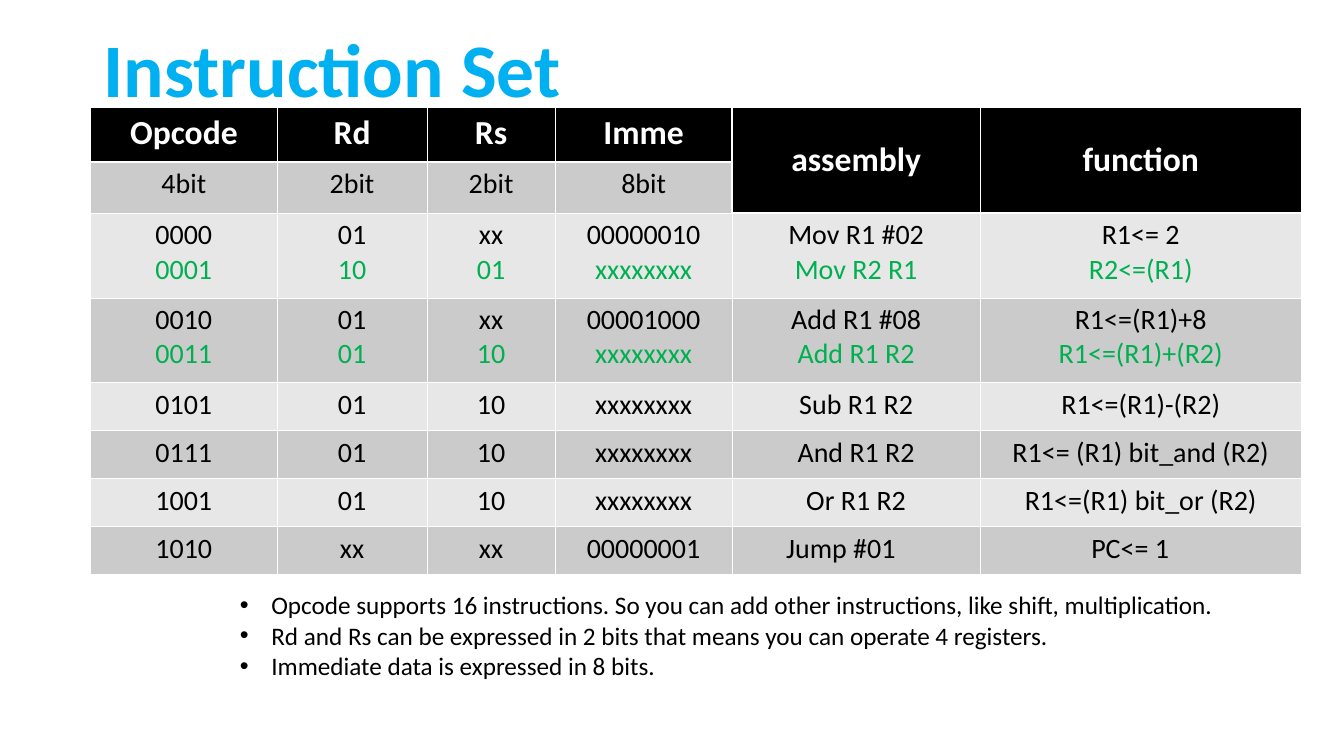
from lxml.etree import SubElement
from pptx import Presentation
from pptx.dml.color import RGBColor
from pptx.enum.text import MSO_ANCHOR, MSO_AUTO_SIZE, PP_ALIGN
from pptx.oxml.ns import qn
from pptx.util import Pt

HUES = {
    "title": "00B0F0", "black": "000000", "white": "FFFFFF",
    "green": "00B050", "dark": "CBCBCB", "light": "E7E7E7",
}
FONT = "Calibri"
THIN, THICK = 0.45, 1.47


def add_run(para, text, size, hue, bold=False):
    run = para.add_run()
    run.text = text
    font = run.font
    font.name, font.size, font.bold = FONT, Pt(size), bold
    font.color.rgb = RGBColor.from_string(HUES[hue])


def add_edge(cell, side, width):
    line = SubElement(cell._tc.get_or_add_tcPr(), qn(f"a:ln{side}"), w=str(Pt(width)))
    fill = SubElement(line, qn("a:solidFill"))
    SubElement(fill, qn("a:srgbClr"), val=HUES["white"])


deck = Presentation()
deck.slide_width, deck.slide_height = Pt(960.5), Pt(540)
slide = deck.slides.add_slide(deck.slide_layouts[1])

# Title
title = slide.shapes.title
title.left, title.top, title.width, title.height = Pt(67), Pt(0), Pt(828), Pt(104.4)
frame = title.text_frame
frame.auto_size = MSO_AUTO_SIZE.NONE
frame.vertical_anchor = MSO_ANCHOR.MIDDLE
para = frame.paragraphs[0]
para.alignment, para.line_spacing = PP_ALIGN.LEFT, 0.9
add_run(para, "Instruction Set", 54, "title", True)

# Instruction table: a second line in a cell is the register form
rows = [
    ["Opcode", "Rd", "Rs", "Imme", "assembly", "function"],
    ["4bit", "2bit", "2bit", "8bit", "", ""],
    ["0000\n0001", "01\n10", "xx\n01", "00000010\nxxxxxxxx",
     "Mov R1 #02\nMov R2 R1", "R1<= 2\nR2<=(R1)"],
    ["0010\n0011", "01\n01", "xx\n10", "00001000\nxxxxxxxx",
     "Add R1 #08\nAdd R1 R2", "R1<=(R1)+8\nR1<=(R1)+(R2)"],
    ["0101", "01", "10", "xxxxxxxx", "Sub R1 R2", "R1<=(R1)-(R2)"],
    ["0111", "01", "10", "xxxxxxxx", "And R1 R2", "R1<= (R1) bit_and (R2)"],
    ["1001", "01", "10", "xxxxxxxx", "Or R1 R2", "R1<=(R1) bit_or (R2)"],
    ["1010", "xx", "xx", "00000001", "Jump #01", "PC<= 1"],
]
widths = [133.2, 107.3, 91.4, 126.7, 177.1, 229.7]
heights = [39.2, 36.4, 60.6, 60.6, 34.2, 34.2, 34.2, 34.2]
insets = {(7, 4): 38.5, (7, 5): 79.5}  # left-aligned cells

table = slide.shapes.add_table(
    len(rows), len(widths), Pt(64.8), Pt(76.5), Pt(sum(widths)), Pt(sum(heights))
).table
table.first_row = table.horz_banding = False
for col, width in zip(table.columns, widths):
    col.width = Pt(width)
for row, height in zip(table.rows, heights):
    row.height = Pt(height)
for c in (4, 5):
    table.cell(0, c).merge(table.cell(1, c))

for r, texts in enumerate(rows):
    for c, text in enumerate(texts):
        cell = table.cell(r, c)
        head = r == 0 or (r == 1 and c > 3)
        last = 1 if c > 3 else 0  # last header row of this column

        # Edges are thick around the header
        thick = {
            "L": c == 4 and r < 2,
            "R": c == 3 and r == 1,
            "T": r == last + 1,
            "B": r == last or (r == 0 and c > 3),
        }
        for side, wide in thick.items():
            add_edge(cell, side, THICK if wide else THIN)
        cell.fill.solid()
        shade = "black" if head else "dark" if r % 2 else "light"
        cell.fill.fore_color.rgb = RGBColor.from_string(HUES[shade])

        # Cell text
        if not text:
            continue
        if cell.is_merge_origin:
            cell.vertical_anchor = MSO_ANCHOR.MIDDLE
        inset = insets.get((r, c))
        if inset:
            cell.margin_left = Pt(inset)
        for n, part in enumerate(text.split("\n")):
            frame = cell.text_frame
            para = frame.add_paragraph() if n else frame.paragraphs[0]
            para.alignment = PP_ALIGN.LEFT if inset else PP_ALIGN.CENTER
            hue = "white" if head else "green" if n else "black"
            add_run(para, part, 24 if head else 20, hue, head)

# Notes below the table
notes = [
    "Opcode supports 16 instructions. So you can add other instructions, like shift, multiplication.",
    "Rd and Rs can be expressed in 2 bits that means you can operate 4 registers.",
    "Immediate data is expressed in 8 bits.",
]
body = slide.placeholders[1]
body.left, body.top, body.width, body.height = Pt(164.2), Pt(417.6), Pt(731.5), Pt(93.6)
frame = body.text_frame
frame.auto_size = MSO_AUTO_SIZE.NONE
for n, note in enumerate(notes):
    para = frame.add_paragraph() if n else frame.paragraphs[0]
    para.space_before = Pt(0)
    props = para._p.get_or_add_pPr()
    props.set("marL", str(Pt(22.5)))
    props.set("indent", str(-Pt(22.5)))
    SubElement(props, qn("a:buFont"), typeface="Arial")
    SubElement(props, qn("a:buChar"), char="•")
    add_run(para, note, 18, "black")

deck.save("out.pptx")
